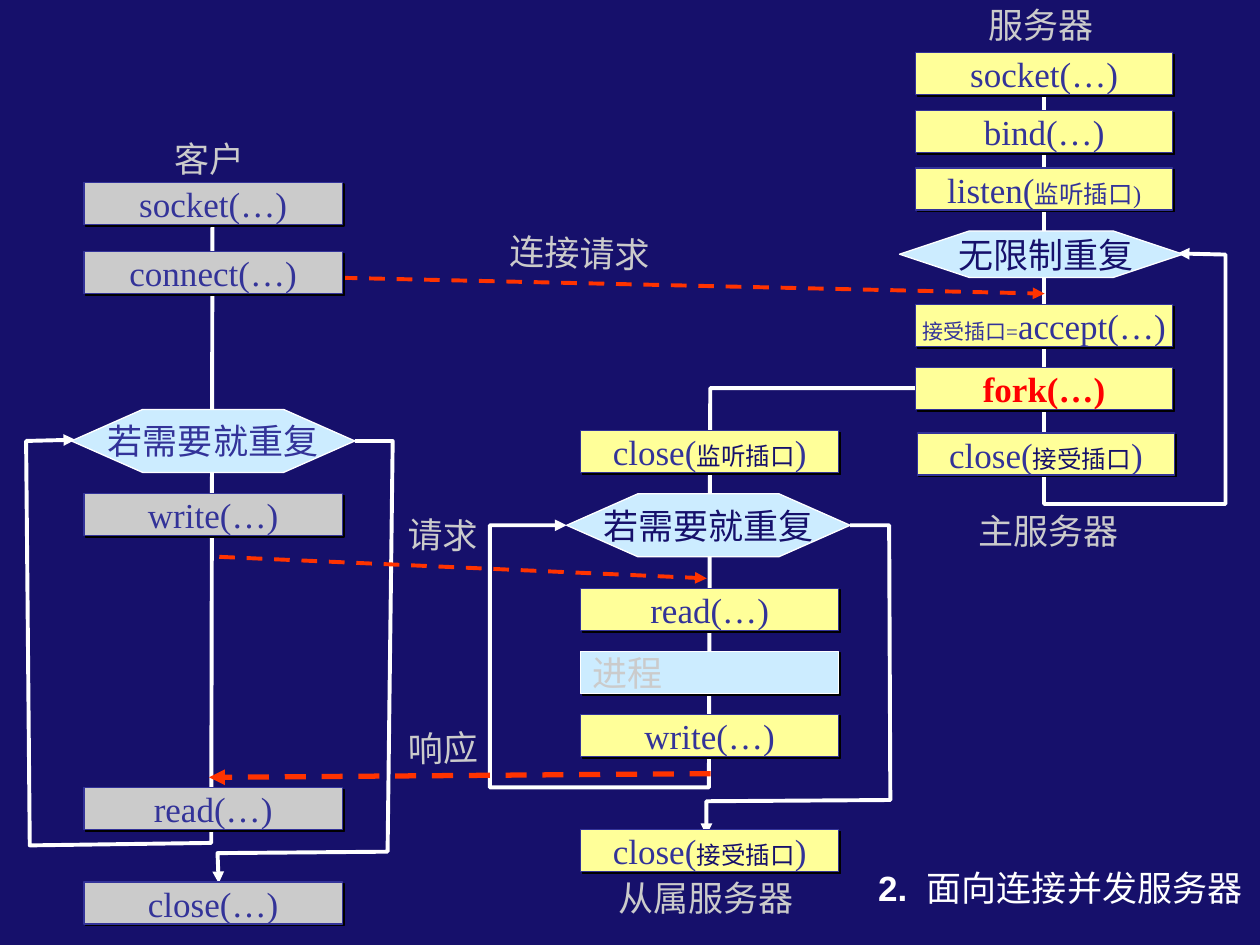
import pptx
import pptx.util
import pptx.dml.color
import pptx.enum.dml
import pptx.enum.shapes
import pptx.enum.text
import pptx.oxml
import pptx.oxml.ns

Pt = pptx.util.Pt
qn = pptx.oxml.ns.qn
ALIGN = pptx.enum.text.PP_ALIGN
ANCHOR = pptx.enum.text.MSO_ANCHOR
SHAPE = pptx.enum.shapes.MSO_SHAPE

COLORS = {
    "background": "16106B", "white": "FFFFFF", "label": "CBCBCB",
    "client": "CBCBCB", "server": "FFFF99", "loop": "CCECFF",
    "ink": "333399", "message": "FF3300", "fork": "FF0000", "shadow": "000000",
}
SERIF = "Times New Roman"
CJK = "Noto Sans CJK SC"
BOX_HEIGHT = 24
TEXT_SIZE = 20
LABEL_MARGINS = 16


def color(name):
    return pptx.dml.color.RGBColor.from_string(COLORS[name])


def write(frame, runs, ink="ink", size=TEXT_SIZE, font=SERIF, bold=False,
          align=ALIGN.CENTER, anchor=ANCHOR.MIDDLE):
    """Fill a frame with one paragraph; runs is text or (text, format) pairs."""
    frame.word_wrap = False
    frame.vertical_anchor = anchor
    paragraph = frame.paragraphs[0]
    paragraph.alignment = align
    for text, changes in [(runs, {})] if isinstance(runs, str) else runs:
        run = paragraph.add_run()
        run.text = text
        run.font.size = Pt(changes.get("size", size))
        run.font.bold = changes.get("bold", bold)
        run.font.color.rgb = color(changes.get("ink", ink))
        run.font.name = font
        east_asian = run.font._element.makeelement(qn("a:ea"), {"typeface": CJK})
        run.font._element.find(qn("a:latin")).addnext(east_asian)


def add_shadow(shape):
    effects = shape._element.spPr.find(qn("a:effectLst"))
    effects.append(pptx.oxml.parse_xml(
        '<a:outerShdw xmlns:a="http://schemas.openxmlformats.org/drawingml/2006/main"'
        ' dist="17780" dir="2700000" algn="ctr" rotWithShape="0">'
        f'<a:srgbClr val="{COLORS["shadow"]}"/></a:outerShdw>'))


def add_block(slide, kind, left, top, width, height, fill, outline, runs, **text):
    shape = slide.shapes.add_shape(kind, Pt(left), Pt(top), Pt(width), Pt(height))
    shape.fill.solid()
    shape.fill.fore_color.rgb = color(fill)
    shape.line.color.rgb = color(outline)
    shape.line.width = Pt(0.75)
    shape.shadow.inherit = False
    write(shape.text_frame, runs, **text)
    return shape


def add_call(slide, left, top, width, fill, runs, outline="ink", **text):
    shape = add_block(slide, SHAPE.RECTANGLE, left, top, width, BOX_HEIGHT,
                      fill, outline, runs, **text)
    add_shadow(shape)


def add_repeat(slide, left, top, height, runs, adjustment, **text):
    shape = add_block(slide, SHAPE.HEXAGON, left, top, 162, height,
                      "loop", "white", runs, **text)
    shape.adjustments[0] = adjustment


def add_label(slide, left, top, text, rotation=0):
    """Place a label whose box is wide enough for its full-width characters."""
    width = TEXT_SIZE * len(text) + LABEL_MARGINS
    box = slide.shapes.add_textbox(Pt(left), Pt(top), Pt(width), Pt(31.5))
    box.rotation = rotation
    write(box.text_frame, text, ink="label", align=ALIGN.LEFT, anchor=ANCHOR.TOP)


def style_arrow(shape, ink, width):
    shape.line.color.rgb = color(ink)
    shape.line.width = Pt(width)
    line = shape.line._get_or_add_ln()
    line.append(line.makeelement(qn("a:tailEnd"), {"type": "triangle"}))


def add_flow(slide, left, top, points):
    """Draw an open path ending in an arrowhead, relative to (left, top)."""
    places = [(Pt(left + x), Pt(top + y)) for x, y in points]
    builder = slide.shapes.build_freeform(*places[0], scale=1.0)
    builder.add_line_segments(places[1:], close=False)
    shape = builder.convert_to_shape()
    shape.fill.background()
    shape.shadow.inherit = False
    style_arrow(shape, "white", 2.25)


def add_message(slide, start, end, width=2.25):
    connector = slide.shapes.add_connector(
        pptx.enum.shapes.MSO_CONNECTOR.STRAIGHT,
        Pt(start[0]), Pt(start[1]), Pt(end[0]), Pt(end[1]))
    connector.line.dash_style = pptx.enum.dml.MSO_LINE.DASH
    style_arrow(connector, "message", width)
    properties = connector._element.spPr
    properties.append(properties.makeelement(qn("a:effectLst"), {}))


def close_call(socket):
    return [("close(", {}), (socket, {"size": 14, "ink": "background"}), (")", {})]


def add_title(slide, left, top, width, height):
    title = slide.shapes.title
    title.left, title.top, title.width, title.height = map(Pt, (left, top, width, height))
    frame = title.text_frame
    frame.margin_left = frame.margin_right = frame.margin_top = frame.margin_bottom = 0
    write(frame, [("2.  ", {"bold": True}), ("面向连接并发服务器", {})],
          ink="white", font="Arial")


def add_messages(slide):
    add_message(slide, (148.3, 157.7), (596.9, 167.8))
    add_message(slide, (125.3, 318.2), (403.9, 330.5))
    add_message(slide, (406.1, 442.1), (119.5, 444.2), width=3)
    add_label(slide, 284.4, 128.9, "连接请求", rotation=1.8)
    add_label(slide, 226, 290.2, "请求", rotation=1.8)
    add_label(slide, 226, 411.8, "响应", rotation=358.9)


def add_client(slide, left, top, width):
    add_label(slide, left + 44.6, top, "客户")
    for offset, call in ((29.3, "socket(…)"), (68.9, "connect(…)"),
                         (207.1, "write(…)"), (375.1, "read(…)"), (429.1, "close(…)")):
        add_call(slide, left, top + offset, width, "client", call)
    add_repeat(slide, left - 7.2, top + 159.1, 36, "若需要就重复", 1.13, font=CJK)


def add_client_flows(slide, left, top):
    add_flow(slide, left, top, [(73.4, 54), (72.7, 406.8), (-31, 408.2),
                                (-33.1, 177.1), (-5, 176.4)])
    add_flow(slide, left, top, [(154.8, 177.1), (176.4, 177.1), (173.5, 411.8),
                                (76.3, 412.6), (77, 429.8)])


def add_slave(slide, left, top, width):
    add_call(slide, left, top, width, "server", close_call("监听插口"))
    add_repeat(slide, left - 7.9, top + 36, 36, "若需要就重复", 1.13, ink="background")
    add_call(slide, left, top + 90, width, "server", "read(…)")
    add_call(slide, left, top + 126, width, "loop", "进程", outline="white",
             ink="label", align=ALIGN.LEFT)
    add_call(slide, left, top + 162, width, "server", "write(…)")
    add_call(slide, left, top + 227.9, width, "server", close_call("接受插口"))
    add_label(slide, left + 14.4, top + 251.3, "从属服务器")


def add_slave_flows(slide, left, top):
    add_flow(slide, left, top, [(198.7, -24.4), (74.2, -24.4), (73.4, 203.8),
                                (-51.8, 203.8), (-51.8, 54), (-7.9, 54)])
    add_flow(slide, left, top, [(154.1, 54), (176.4, 54), (177.1, 211),
                                (72, 211.7), (72, 231.1)])


def add_master(slide, left, top, width):
    add_label(slide, left + 34.8, top, "服务器")
    for offset, call, text in (
            (31.4, "socket(…)", {}),
            (64.6, "bind(…)", {}),
            (97.4, [("listen(", {}), ("监听插口)", {"size": 14})], {}),
            (175.4, [("接受插口=", {"size": 12}), ("accept(…)", {})], {}),
            (211.4, "fork(…)", {"ink": "fork", "bold": True})):
        add_call(slide, left, top + offset, width, "server", call, **text)
    add_call(slide, left + 1, top + 248.9, width, "server", close_call("接受插口"))
    add_repeat(slide, left - 9.2, top + 133.4, 26.6, "无限制重复", 1.5,
               ink="background", align=ALIGN.LEFT)
    add_label(slide, left + 29, top + 288.9, "主服务器")


def add_master_flow(slide, left, top):
    add_flow(slide, left, top, [(73.4, 56.2), (73.4, 289.4), (177.1, 289.4),
                                (177.1, 146.9), (149.8, 146.2)])


def main():
    presentation = pptx.Presentation()
    presentation.slide_width, presentation.slide_height = Pt(720), Pt(540)
    slide = presentation.slides.add_slide(presentation.slide_layouts[5])
    slide.background.fill.solid()
    slide.background.fill.fore_color.rgb = color("background")

    add_title(slide, 491.8, 491.8, 228.2, 31)

    # Flow lines and messages lie behind the blocks
    client, slave, master = (48, 74.9), (331.7, 246.2), (523.2, -1.4)
    add_slave_flows(slide, *slave)
    add_client_flows(slide, *client)
    add_master_flow(slide, *master)
    add_messages(slide)

    # The three processes
    add_client(slide, *client, width=147.6)
    add_slave(slide, *slave, width=147.6)
    add_master(slide, *master, width=147)

    presentation.save("out.pptx")


if __name__ == "__main__":
    main()
